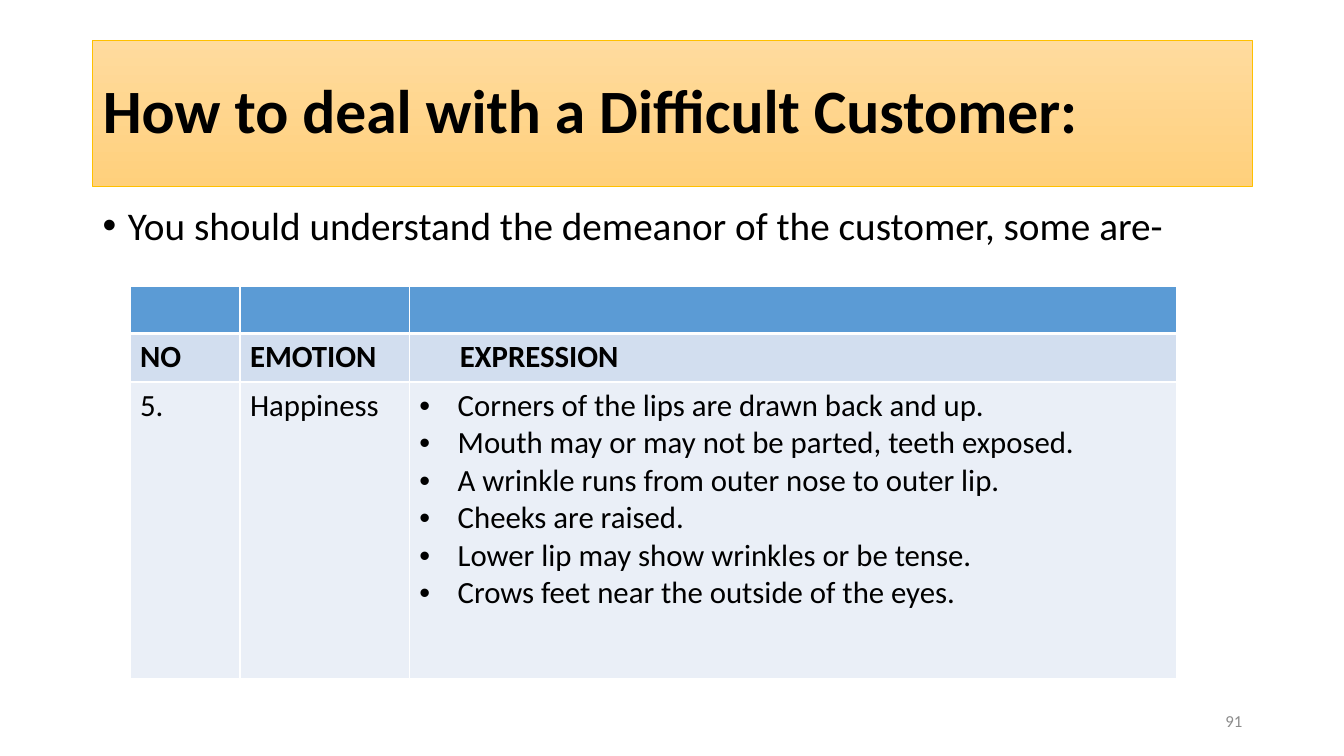
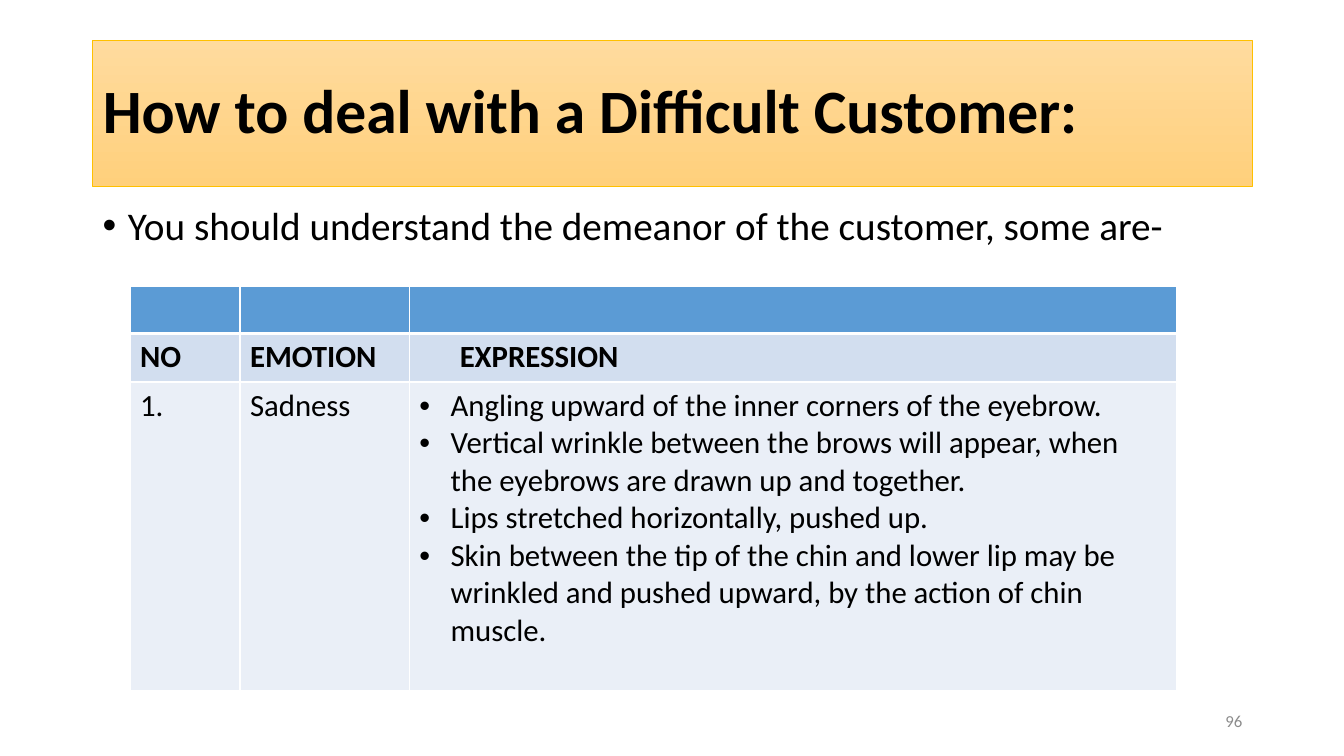
"""Build two slides on reading the emotions of a difficult customer."""
from lxml import etree
from pptx import Presentation
from pptx.dml.color import RGBColor
from pptx.enum.text import MSO_ANCHOR, MSO_AUTO_SIZE, PP_ALIGN
from pptx.oxml.ns import qn
from pptx.util import Inches, Pt

MIDDLE = MSO_ANCHOR.MIDDLE
NO_FIT = MSO_AUTO_SIZE.NONE
LEFT, RIGHT = PP_ALIGN.LEFT, PP_ALIGN.RIGHT

FONT = "Calibri"
COLORS = {
    "text": "000000", "number": "8C8C8C", "edge": "FFC000",
    "top": "FFDB9E", "bottom": "FFD07C", "grid": "FFFFFF",
    "head": "5B9BD5", "label": "D2DEEF", "body": "EAEFF7",
}
TITLE = "How to deal with a Difficult Customer:"
INTRO = "You should understand the demeanor of the customer, some are-"
LABELS = ["NO", "EMOTION", "EXPRESSION"]
COLS = [1.09, 1.68, 7.61]
ROWS = [0.47, 0.48]
SLIDES = [
    {"page": "91", "no": "5.", "mood": "Happiness", "indent": 0.38, "height": 2.94,
     "signs": [
         "Corners of the lips are drawn back and up.",
         "Mouth may or may not be parted, teeth exposed.",
         "A wrinkle runs from outer nose to outer lip.",
         "Cheeks are raised.",
         "Lower lip may show wrinkles or be tense.",
         "Crows feet near the outside of the eyes.",
     ]},
    {"page": "96", "no": "1.", "mood": "Sadness", "indent": 0.31, "height": 3.06,
     "signs": [
         "Angling upward of the inner corners of the eyebrow.",
         "Vertical wrinkle between the brows will appear, when the eyebrows "
         "are drawn up and together.",
         "Lips stretched horizontally, pushed up.",
         "Skin between the tip of the chin and lower lip may be wrinkled and "
         "pushed upward, by the action of chin muscle.",
     ]},
]


def color(name):
    """Return a named colour."""
    return RGBColor.from_string(COLORS[name])


def style(para, size, bold=False, ink="text", align=LEFT):
    """Format a paragraph and its runs."""
    para.alignment = align
    for run in para.runs:
        font = run.font
        font.name, font.size, font.bold = FONT, Pt(size), bold
        font.color.rgb = color(ink)


def indent(para, left, first=0):
    """Set the left margin and first line indent."""
    props = para._p.get_or_add_pPr()
    props.set("marL", str(Inches(left)))
    props.set("indent", str(Inches(first)))
    return props


def bullet(para, left):
    """Give a paragraph a hanging round bullet."""
    props = indent(para, left, -left)
    etree.SubElement(props, qn("a:buFont")).set("typeface", "Arial")
    etree.SubElement(props, qn("a:buChar")).set("char", "•")


def add_title(slide):
    """Fill the title band."""
    title = slide.shapes.title
    title.left, title.top = Inches(0.92), Inches(0.4)
    title.width, title.height = Inches(11.5), Inches(1.45)
    title.fill.gradient()
    title.fill.gradient_angle = 270
    for stop, name in zip(title.fill.gradient_stops, ("top", "bottom")):
        stop.color.rgb = color(name)
    for stop, place in zip(title.fill.gradient_stops, (0, 1)):
        stop.position = place
    title.line.color.rgb = color("edge")
    title.line.width = Pt(0.5)
    frame = title.text_frame
    frame.text = TITLE
    frame.auto_size, frame.vertical_anchor = NO_FIT, MIDDLE
    style(frame.paragraphs[0], 44, bold=True)
    frame.paragraphs[0].line_spacing = 0.9


def add_text(slide, text, left, top, width, height):
    """Add a wrapped text box and return its frame."""
    box = slide.shapes.add_textbox(*map(Inches, (left, top, width, height)))
    frame = box.text_frame
    frame.word_wrap = True
    frame.text = text
    return frame


def add_intro(slide):
    """Add the bulleted lead line."""
    para = add_text(slide, INTRO, 0.92, 2, 11.5, 0.6).paragraphs[0]
    bullet(para, 0.25)
    style(para, 28)
    para.line_spacing = 0.9


def add_page(slide, page):
    """Add the page number."""
    frame = add_text(slide, page, 9.42, 6.95, 3, 0.4)
    frame.vertical_anchor = MIDDLE
    style(frame.paragraphs[0], 12, ink="number", align=RIGHT)


def paint(cell, fill, top=1, bottom=1):
    """Set the borders and fill of a cell."""
    props = cell._tc.get_or_add_tcPr()
    for side, width in zip("LRTB", (1, 1, top, bottom)):
        line = etree.SubElement(props, qn(f"a:ln{side}"), w=str(Pt(width)))
        solid = etree.SubElement(line, qn("a:solidFill"))
        etree.SubElement(solid, qn("a:srgbClr"), val=COLORS["grid"])
    cell.fill.solid()
    cell.fill.fore_color.rgb = color(fill)


def write(cell, text, bold=False):
    """Write text into a cell."""
    cell.text_frame.text = text
    for para in cell.text_frame.paragraphs:
        style(para, 22, bold)


def add_grid(slide, data):
    """Add the table of one emotion."""
    rows = ROWS + [data["height"]]
    size = map(Inches, (1.29, 2.84, sum(COLS), sum(rows)))
    table = slide.shapes.add_table(len(rows), len(COLS), *size).table
    for col, width in zip(table.columns, COLS):
        col.width = Inches(width)
    for row, height in zip(table.rows, rows):
        row.height = Inches(height)
    values = [data["no"], data["mood"], "\n".join(data["signs"])]
    for col, (label, value) in enumerate(zip(LABELS, values)):
        head, name, body = (table.cell(row, col) for row in range(len(rows)))
        paint(head, "head", bottom=3)
        paint(name, "label", top=3)
        paint(body, "body")
        write(name, label, bold=True)
        write(body, value)
    indent(name.text_frame.paragraphs[0], 0.4)
    for para in body.text_frame.paragraphs:
        bullet(para, data["indent"])


def main():
    """Build and save the slides."""
    deck = Presentation()
    deck.slide_width, deck.slide_height = Inches(13.33), Inches(7.5)
    for data in SLIDES:
        slide = deck.slides.add_slide(deck.slide_layouts[5])
        add_title(slide)
        add_intro(slide)
        add_page(slide, data["page"])
        add_grid(slide, data)
    deck.save("out.pptx")


if __name__ == "__main__":
    main()
